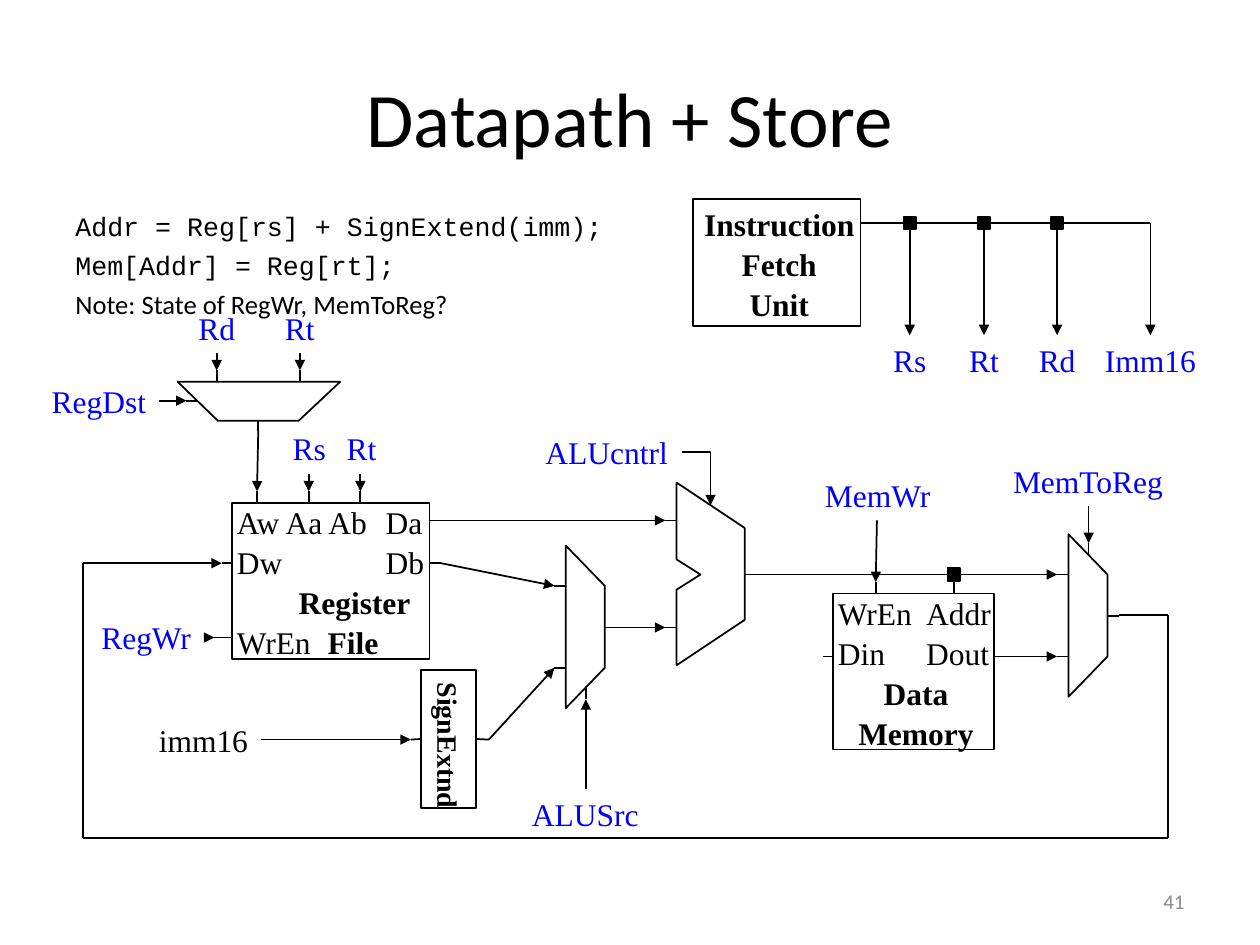
from collections import namedtuple

from lxml import etree
from pptx import Presentation
from pptx.dml.color import RGBColor
from pptx.enum.shapes import MSO_CONNECTOR as Connector, MSO_SHAPE as Shape
from pptx.enum.text import MSO_ANCHOR as Anchor, PP_ALIGN as Align
from pptx.oxml.ns import qn
from pptx.util import Inches, Pt

BLACK, WHITE, BLUE, GREY = "000000", "FFFFFF", "0000FF", "8C8C8C"
TOP, LEFT, BOTTOM, RIGHT = range(4)
SERIF, SANS, MONO = "Times New Roman", "Calibri", "Courier New"
Side = namedtuple("Side", "shape site")


def color(hex_value):
    return RGBColor.from_string(hex_value)


def write(paragraph, text, size=18, font=SERIF, fill=BLACK, bold=False, align=Align.CENTER):
    paragraph.alignment = align
    run = paragraph.add_run()
    run.text = text
    run.font.size, run.font.name, run.font.bold = Pt(size), font, bold
    run.font.color.rgb = color(fill)


def set_tab(paragraph, position):
    tabs = etree.SubElement(paragraph._p.get_or_add_pPr(), qn("a:tabLst"))
    etree.SubElement(tabs, qn("a:tab"), pos=str(Inches(position)), algn="l")


def side_point(side):
    """Middle of a rectangle's side, in EMU."""
    shape = side.shape
    x = {LEFT: 0, RIGHT: 1}.get(side.site, 0.5)
    y = {TOP: 0, BOTTOM: 1}.get(side.site, 0.5)
    return int(shape.left + x * shape.width), int(shape.top + y * shape.height)


class Diagram:
    def __init__(self, slide):
        self.slide = slide
        self.shapes = slide.shapes
        self.line_width = Pt(1)

    def style(self, shape, fill):
        shape.shadow.inherit = False
        shape.fill.solid()
        shape.fill.fore_color.rgb = color(fill)
        shape.line.color.rgb = color(BLACK)
        shape.line.width = self.line_width
        return shape

    def text(self, lines, left, top, width, height, wrap=True, anchor=Anchor.TOP, gap=0, **style):
        """Text box; each line is a (text, font) pair."""
        box = self.shapes.add_textbox(*map(Inches, (left, top, width, height)))
        frame = box.text_frame
        frame.word_wrap, frame.vertical_anchor = wrap, anchor
        for index, (text, font) in enumerate(lines):
            paragraph = frame.add_paragraph() if index else frame.paragraphs[0]
            if index:
                paragraph.space_before = Pt(gap)
            write(paragraph, text, font=font, **style)

    def label(self, text, left, top, width, fill=BLUE):
        self.text([(text, SERIF)], left, top, width, 0.4, wrap=False, fill=fill)

    def rectangle(self, left, top, width, height, fill=WHITE):
        position = map(Inches, (left, top, width, height))
        return self.style(self.shapes.add_shape(Shape.RECTANGLE, *position), fill)

    def block(self, left, top, width, height, lines):
        """Rectangle with lines, each a list of (text, bold) runs and a tab stop or None."""
        shape = self.rectangle(left, top, width, height)
        frame = shape.text_frame
        frame.word_wrap, frame.vertical_anchor = True, Anchor.MIDDLE
        frame.margin_left, frame.margin_right = Inches(0.04), 0
        for index, (runs, tab) in enumerate(lines):
            paragraph = frame.add_paragraph() if index else frame.paragraphs[0]
            paragraph.line_spacing = 1.06
            if tab:
                set_tab(paragraph, tab)
            for text, bold in runs:
                write(paragraph, text, bold=bold, align=Align.LEFT if tab else Align.CENTER)
        return shape

    def junction(self, x, y):
        return self.rectangle(x - 0.05, y - 0.05, 0.1, 0.1, BLACK)

    def polygon(self, points):
        points = [tuple(map(Inches, point)) for point in points]
        builder = self.shapes.build_freeform(*points[0], scale=1.0)
        builder.add_line_segments(points[1:], close=True)
        self.style(builder.convert_to_shape(), WHITE)

    def line(self, start, end, arrow=False, kind=Connector.STRAIGHT):
        """Connector between points or rectangle sides."""
        ends = [side_point(e) if isinstance(e, Side) else tuple(map(Inches, e)) for e in (start, end)]
        connector = self.shapes.add_connector(kind, *ends[0], *ends[1])
        if isinstance(start, Side):
            connector.begin_connect(*start)
        if isinstance(end, Side):
            connector.end_connect(*end)
        connector.line.color.rgb = color(BLACK)
        connector.line.width = self.line_width
        properties = connector._element.spPr
        if arrow:
            etree.SubElement(properties.find(qn("a:ln")), qn("a:tailEnd"), type="triangle")
        etree.SubElement(properties, qn("a:effectLst"))
        return connector

    def arrow(self, start, end):
        return self.line(start, end, arrow=True)

    def wire(self, *points):
        for start, end in zip(points, points[1:]):
            self.line(start, end)

    def upright_mux(self, x, y):
        self.polygon([(x, y), (x + 0.31, y + 0.32), (x + 0.31, y + 0.97), (x, y + 1.29)])
        for pin_y in (y + 0.32, y + 0.97):
            self.line((x - 0.09, pin_y), (x, pin_y))
        self.line((x + 0.31, y + 0.65), (x + 0.4, y + 0.65))


def draw_fetch_unit(diagram):
    diagram.block(5.5, 1.58, 1.33, 1.01,
                  [([(word, True)], None) for word in ("Instruction", "Fetch", "Unit")])
    bus_y, arrow_y = 1.77, 2.66
    start = (6.83, bus_y)
    for text, x, width in (("Rs", 7.22, 0.47), ("Rt", 7.81, 0.44), ("Rd", 8.39, 0.49)):
        node = diagram.junction(x, bus_y)
        diagram.line(start, Side(node, LEFT))
        diagram.arrow(Side(node, BOTTOM), (x, arrow_y))
        diagram.label(text, x - width / 2, arrow_y, width)
        start = Side(node, RIGHT)
    diagram.line(start, (9.13, bus_y))
    diagram.arrow((9.13, bus_y), (9.13, arrow_y))
    diagram.label("Imm16", 8.67, arrow_y, 0.92)


def draw_register_file(diagram):
    diagram.polygon([(1.41, 3.03), (1.73, 3.34), (2.37, 3.34), (2.7, 3.03)])
    for text, x, width in (("Rd", 1.72, 0.49), ("Rt", 2.38, 0.44)):
        diagram.label(text, x - width / 2, 2.4, width)
        diagram.arrow((x, 2.8), (x, 2.94))
        diagram.line((x, 2.94), (x, 3.03))
    diagram.label("RegDst", 0.31, 2.98, 0.95)
    diagram.arrow((1.26, 3.18), (1.48, 3.18))
    diagram.line((1.48, 3.18), (1.57, 3.18))
    diagram.line((2.05, 3.34), (2.05, 3.42))
    diagram.arrow((2.05, 3.42), (2.04, 3.9))

    diagram.block(1.84, 3.99, 1.57, 1.24, [
        ([("Aw Aa Ab\tDa", False)], 1.18),
        ([("Dw\tDb", False)], 1.18),
        ([("\tRegister", True)], 0.49),
        ([("WrEn\t", False), ("File", True)], 0.72),
    ])
    for x in (2.04, 2.45, 2.86):
        diagram.line((x, 3.9), (x, 3.99))
    for text, x, left, width in (("Rs", 2.45, 2.22, 0.47), ("Rt", 2.86, 2.65, 0.44)):
        diagram.label(text, left, 3.36, width)
        diagram.arrow((x, 3.76), (x, 3.9))
    for y in (4.13, 4.47):
        diagram.line((3.41, y), (3.5, y))
    diagram.line((1.76, 4.47), (1.84, 4.47))
    diagram.label("RegWr", 0.7, 4.86, 0.92)
    diagram.arrow((1.62, 5.06), (1.7, 5.06))
    diagram.line((1.7, 5.06), (1.84, 5.06))


def draw_alu(diagram):
    diagram.polygon([(5.37, 3.83), (5.91, 4.19), (5.91, 4.92), (5.37, 5.28),
                     (5.37, 4.68), (5.56, 4.56), (5.37, 4.44)])
    for y in (4.13, 4.98):
        diagram.line((5.28, y), (5.37, y))
    diagram.label("ALUcntrl", 4.23, 3.39, 1.17)
    control = diagram.line((5.41, 3.59), (5.64, 4.01), True, Connector.ELBOW)
    control._element.spPr.find(qn("a:prstGeom")).set("prst", "bentConnector2")

    diagram.upright_mux(4.49, 4.33)
    diagram.arrow((3.5, 4.13), (5.28, 4.13))
    diagram.arrow((3.5, 4.47), (4.4, 4.65))
    diagram.arrow((4.89, 4.98), (5.28, 4.98))
    diagram.label("ALUSrc", 4.12, 6.26, 1.05)
    diagram.arrow((4.65, 6.26), (4.65, 5.55))
    diagram.line((4.65, 5.55), (4.65, 5.46))

    extender = diagram.rectangle(3.34, 5.32, 0.44, 1.09)
    frame = extender.text_frame
    frame.word_wrap, frame.vertical_anchor = False, Anchor.MIDDLE
    frame._txBody.bodyPr.set("vert", "eaVert")
    write(frame.paragraphs[0], "SignExtnd", size=16, bold=True)
    diagram.label("imm16", 1.16, 5.67, 0.91, BLACK)
    diagram.arrow((2.07, 5.87), (3.26, 5.87))
    diagram.line((3.26, 5.87), Side(extender, LEFT))
    diagram.line(Side(extender, RIGHT), (3.88, 5.87))
    diagram.arrow((3.88, 5.87), (4.4, 5.3))


def draw_memory(diagram):
    diagram.block(6.61, 4.71, 1.28, 1.24, [
        ([("WrEn\tAddr", False)], 0.7),
        ([("Din\tDout", False)], 0.7),
        ([("Data", True)], None),
        ([("Memory", True)], None),
    ])
    node = diagram.junction(7.57, 4.56)
    diagram.line((5.91, 4.56), Side(node, LEFT))
    diagram.arrow(Side(node, RIGHT), (8.39, 4.56))
    diagram.line(Side(node, BOTTOM), (7.57, 4.71))
    diagram.label("MemWr", 6.44, 3.73, 1.05)
    diagram.arrow((6.96, 4.13), (6.95, 4.62))
    diagram.line((6.95, 4.62), (6.95, 4.71))
    diagram.line((6.53, 5.21), (6.61, 5.21))
    diagram.line((7.89, 5.21), (7.98, 5.21))
    diagram.arrow((7.98, 5.21), (8.39, 5.21))

    diagram.upright_mux(8.48, 4.24)
    diagram.label("MemToReg", 7.93, 3.62, 1.41)
    diagram.arrow((8.64, 4.02), (8.64, 4.31))
    diagram.line((8.64, 4.31), (8.64, 4.4))
    diagram.wire((8.88, 4.88), (9.27, 4.88), (9.27, 6.65), (0.66, 6.65), (0.66, 4.47))
    diagram.arrow((0.66, 4.47), (1.76, 4.47))


def main():
    presentation = Presentation()
    presentation.slide_width, presentation.slide_height = Inches(10), Inches(7.5)
    diagram = Diagram(presentation.slides.add_slide(presentation.slide_layouts[6]))
    diagram.text([("Datapath + Store", SANS)], 0.5, 0.3, 9, 1.25, anchor=Anchor.MIDDLE, size=44)
    diagram.text([("Addr = Reg[rs] + SignExtend(imm);", MONO), ("Mem[Addr] = Reg[rt];", MONO),
                  ("Note: State of RegWr, MemToReg?", SANS)],
                 0.5, 1.62, 4.83, 0.83, gap=4, size=15.2, align=Align.LEFT)
    diagram.text([("41", SANS)], 7.17, 6.95, 2.33, 0.4, anchor=Anchor.MIDDLE,
                 size=12, fill=GREY, align=Align.RIGHT)
    for draw in (draw_fetch_unit, draw_register_file, draw_alu, draw_memory):
        draw(diagram)
    presentation.save("out.pptx")


if __name__ == "__main__":
    main()
